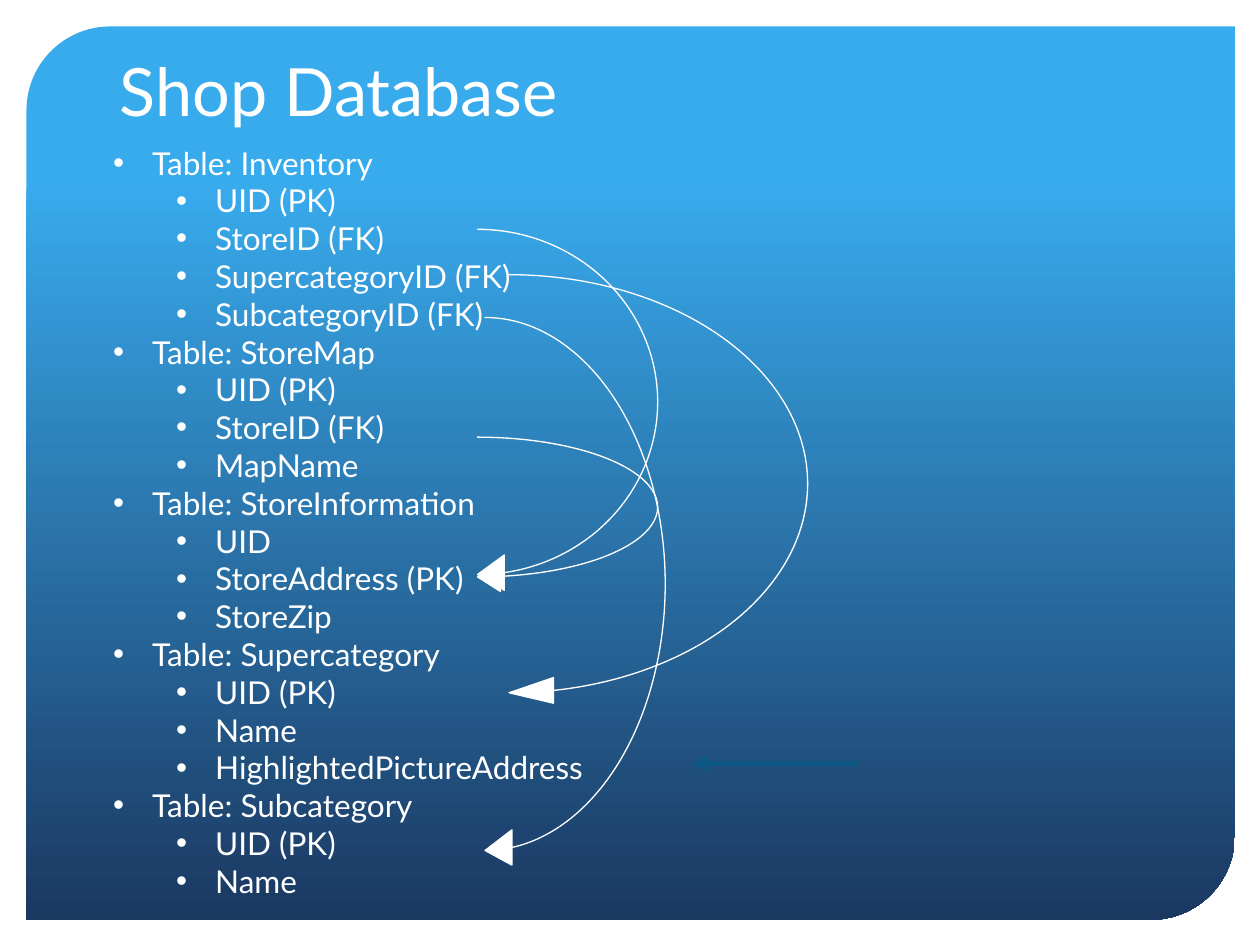
import pptx
import pptx.util
import pptx.dml.color
import pptx.enum.dml
import pptx.enum.shapes
import pptx.enum.text
import pptx.oxml
import pptx.oxml.ns

Inches, Pt = pptx.util.Inches, pptx.util.Pt
SHAPE = pptx.enum.shapes.MSO_SHAPE

COLORS = {"sky": "38ABED", "navy": "1B3861", "white": "FFFFFF", "teal": "0C5986"}
FONT = "Lato"

TABLES = {
    "Inventory": ["UID (PK)", "StoreID (FK)", "SupercategoryID (FK)", "SubcategoryID (FK)"],
    "StoreMap": ["UID (PK)", "StoreID (FK)", "MapName"],
    "StoreInformation": ["UID ", "StoreAddress (PK)", "StoreZip"],
    "Supercategory": ["UID (PK)", "Name", "HighlightedPictureAddress"],
    "Subcategory": ["UID (PK)", "Name"],
}

# Left, top, width, height and head spread of each foreign key arrow
KEY_ARROWS = [
    (3.79, 1.82, 1.43, 2.88, 0.196),
    (4.04, 2.18, 2.37, 3.42, 0.086),
    (3.85, 2.52, 1.43, 4.37, 0.196),
    (3.79, 3.47, 1.43, 1.23, 0.196),
]


def rgb(name):
    return pptx.dml.color.RGBColor.from_string(COLORS[name])


def set_attrs(obj, values):
    for name, value in values.items():
        setattr(obj, name, value)


def add_xml(parent, tag, **attrs):
    el = pptx.oxml.parse_xml("<a:%s %s/>" % (tag, pptx.oxml.ns.nsdecls("a")))
    for name, value in attrs.items():
        el.set(name, str(value))
    parent.append(el)
    return el


def format_run(r, size):
    set_attrs(r.font, {"name": FONT, "size": Pt(size), "bold": False})
    r.font.color.rgb = rgb("white")


def add_panel(slide):
    sp = slide.shapes.add_shape(SHAPE.ROUND_2_DIAG_RECTANGLE, Inches(0.21), Inches(0.21),
                                Inches(9.59), Inches(7.09))
    sp.shadow.inherit = False
    sp.adjustments[0], sp.adjustments[1] = 0.094, 0
    sp.fill.gradient()
    sp.fill.gradient_angle = 270
    for stop, (position, color) in zip(sp.fill.gradient_stops, [(0.17, "sky"), (1, "navy")]):
        stop.position = position
        stop.color.rgb = rgb(color)
    sp.line.fill.background()
    # Send behind the title
    slide.shapes._spTree.insert(2, sp._element)


def set_title(slide, text):
    sp = slide.shapes.title
    set_attrs(sp, {"left": Inches(0.85), "top": Inches(0.21),
                   "width": Inches(8.29), "height": Inches(0.87)})
    tf = sp.text_frame
    set_attrs(tf, {"vertical_anchor": pptx.enum.text.MSO_ANCHOR.BOTTOM, "word_wrap": True,
                   "auto_size": pptx.enum.text.MSO_AUTO_SIZE.NONE})
    p = tf.paragraphs[0]
    p.alignment = pptx.enum.text.PP_ALIGN.LEFT
    r = p.add_run()
    r.text = text
    format_run(r, 38)


def add_bullet(p, text, level):
    p.level = level
    pPr = p._p.get_or_add_pPr()
    pPr.set("marL", str(Inches(0.31 + 0.5 * level)))
    pPr.set("indent", str(Inches(-0.31)))
    add_xml(pPr, "buFont", typeface="Arial")
    add_xml(pPr, "buChar", char="\u2022")
    r = p.add_run()
    r.text = text
    format_run(r, 18)


def add_table_list(slide):
    sp = slide.shapes.add_textbox(Inches(0.8), Inches(1.09), Inches(8.95), Inches(7.07))
    tf = sp.text_frame
    set_attrs(tf, {"word_wrap": True,
                   "auto_size": pptx.enum.text.MSO_AUTO_SIZE.SHAPE_TO_FIT_TEXT})
    items = []
    for table, columns in TABLES.items():
        items.append(("Table: " + table, 0))
        items += [(column, 1) for column in columns]
    for i, (text, level) in enumerate(items):
        p = tf.add_paragraph() if i else tf.paragraphs[0]
        add_bullet(p, text, level)


def add_straight_arrow(slide):
    line = slide.shapes.add_connector(pptx.enum.shapes.MSO_CONNECTOR.STRAIGHT, Inches(6.8),
                                      Inches(6.06), Inches(5.5), Inches(6.06))
    line.line.color.rgb = rgb("teal")
    line.line.width = Pt(2.5)
    add_xml(line.line._get_or_add_ln(), "tailEnd", type="arrow")
    add_xml(line._element.spPr, "effectLst")


def add_key_arrow(slide, left, top, width, height, spread):
    sp = slide.shapes.add_shape(SHAPE.CURVED_LEFT_ARROW, Inches(left), Inches(top),
                                Inches(width), Inches(height))
    sp.shadow.inherit = False
    for i, value in enumerate([0, spread, 0.149]):
        sp.adjustments[i] = value
    sp.fill.solid()
    sp.fill.fore_color.rgb = rgb("white")
    sp.line.color.rgb = rgb("white")
    sp.line.width = Pt(0.75)


def main():
    prs = pptx.Presentation()
    set_attrs(prs, {"slide_width": Inches(10), "slide_height": Inches(7.5)})
    slide = prs.slides.add_slide(prs.slide_layouts[5])
    add_panel(slide)
    set_title(slide, "Shop Database")
    add_table_list(slide)
    add_straight_arrow(slide)
    for arrow in KEY_ARROWS:
        add_key_arrow(slide, *arrow)
    prs.save("out.pptx")


main()
